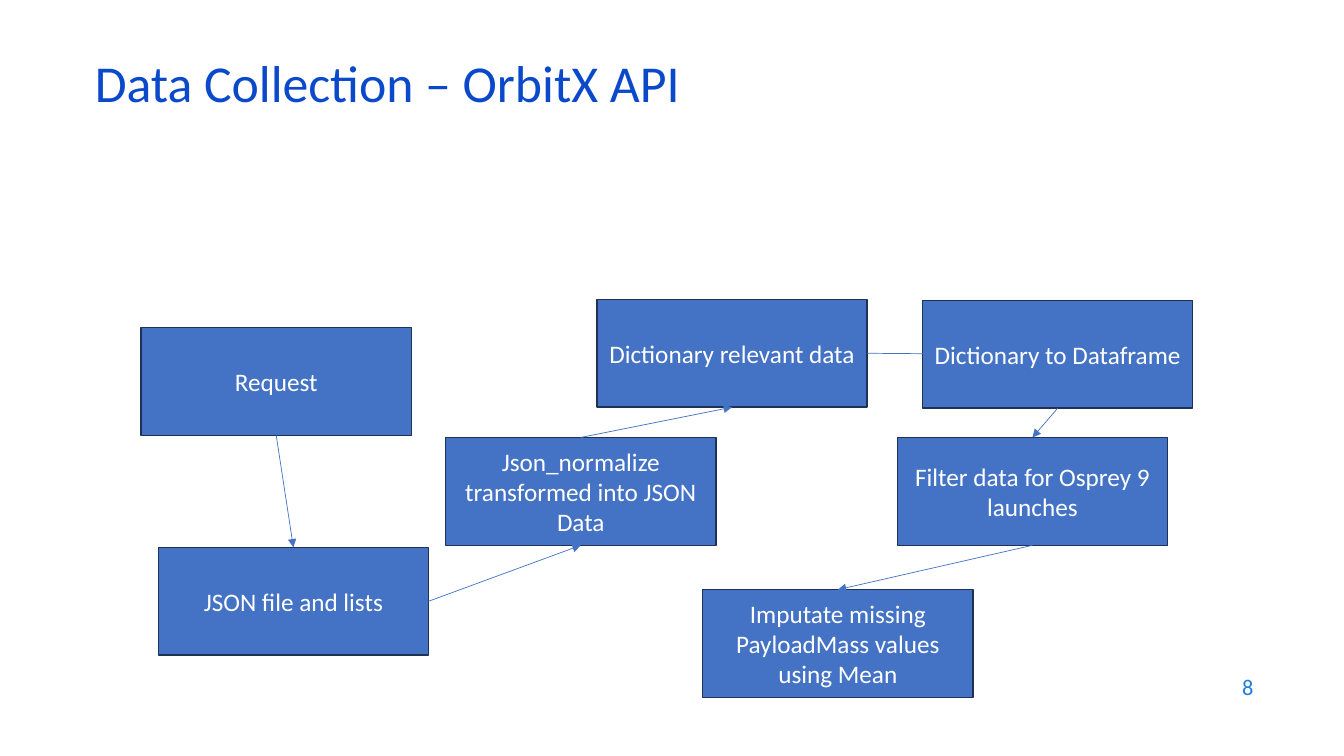
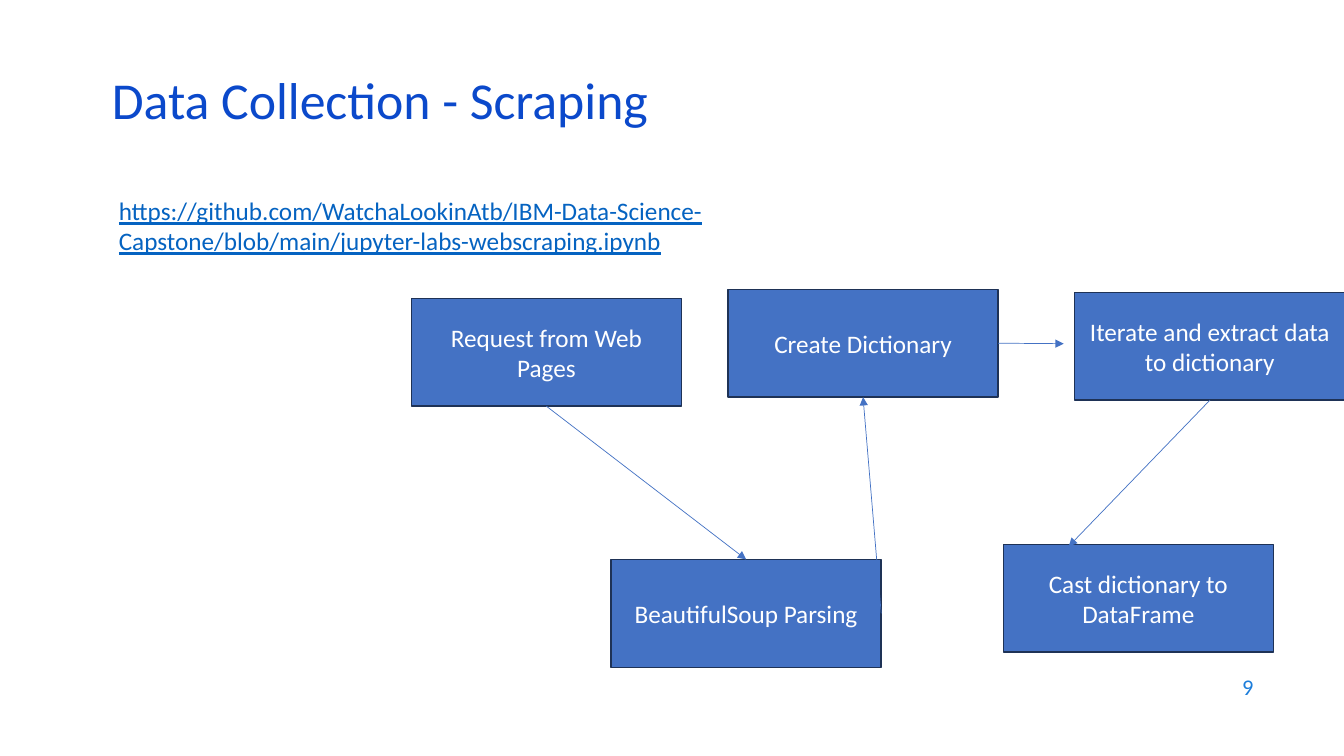
from dataclasses import dataclass
from typing import Any, Optional

from lxml import etree
from pptx import Presentation
from pptx.dml.color import RGBColor
from pptx.enum.shapes import MSO_CONNECTOR, MSO_SHAPE
from pptx.enum.text import MSO_ANCHOR, MSO_AUTO_SIZE, PP_ALIGN
from pptx.oxml.ns import qn
from pptx.util import Emu, Pt

# Enum members
RECT = MSO_SHAPE.RECTANGLE
STRAIGHT = MSO_CONNECTOR.STRAIGHT
MIDDLE, UPPER = MSO_ANCHOR.MIDDLE, MSO_ANCHOR.TOP
LEFT, CENTER, RIGHT = PP_ALIGN.LEFT, PP_ALIGN.CENTER, PP_ALIGN.RIGHT
FIXED = MSO_AUTO_SIZE.NONE

# Colours
BLUE = RGBColor(0x44, 0x72, 0xC4)
NAVY = RGBColor(0x1E, 0x32, 0x56)
ROYAL = RGBColor(0x0B, 0x49, 0xCB)
SKY = RGBColor(0x1C, 0x7D, 0xDB)
LINK = RGBColor(0x05, 0x63, 0xC1)
WHITE = RGBColor(0xFF, 0xFF, 0xFF)

# Sizes in px, 100 px to the inch
SCALE = 9144
WIDE, HIGH = 1333, 750
BOX_W, BOX_H = 268, 107
TITLE_W, TITLE_H = 1150, 60
NUMBER = (953, 659, 300, 44)

# Connection sites of a rectangle
TOP, BASE, SIDE = 0, 2, 3


@dataclass(frozen=True)
class Style:
    size: int
    color: RGBColor
    align: Any = LEFT
    anchor: Any = MIDDLE
    spacing: float = 1.0
    underline: bool = False


TITLE = Style(37, ROYAL, spacing=0.7)
STEP = Style(18, WHITE, CENTER)
PAGE = Style(16, SKY, RIGHT)
URL = Style(18, LINK, anchor=UPPER, underline=True)


@dataclass(frozen=True)
class Step:
    x: int
    y: int
    text: str


@dataclass(frozen=True)
class Arrow:
    """Runs from a step to another step, or to a free point."""
    start: int
    out: int
    end: Optional[int] = None
    into: int = TOP
    point: tuple[int, int] = (0, 0)


@dataclass(frozen=True)
class Note:
    x: int
    y: int
    w: int
    h: int
    text: str


@dataclass(frozen=True)
class Page:
    number: int
    title: str
    x: int
    y: int
    steps: list[Step]
    arrows: list[Arrow]
    note: Optional[Note] = None


PAGES = [
    Page(
        8, "Data Collection – OrbitX API", 84, 59,
        [
            Step(140, 325, "Request"),
            Step(157, 543, "JSON file and lists"),
            Step(442, 434, "Json_normalize transformed into JSON Data"),
            Step(592, 297, "Dictionary relevant data"),
            Step(915, 298, "Dictionary to Dataframe"),
            Step(890, 434, "Filter data for Osprey 9 launches"),
            Step(697, 585, "Imputate missing PayloadMass values using Mean"),
        ],
        [
            Arrow(0, BASE, 1),
            Arrow(1, SIDE, 2, BASE),
            Arrow(2, TOP, 3, BASE),
            Arrow(3, SIDE, point=(925, 351)),
            Arrow(4, BASE, 5),
            Arrow(5, BASE, 6),
        ],
    ),
    Page(
        9, "Data Collection - Scraping", 101, 76,
        [
            Step(408, 296, "Request from Web Pages"),
            Step(606, 555, "BeautifulSoup Parsing"),
            Step(722, 287, "Create Dictionary"),
            Step(1066, 290, "Iterate and extract data to dictionary"),
            Step(995, 540, "Cast dictionary to DataFrame"),
        ],
        [
            Arrow(0, BASE, 1),
            Arrow(1, SIDE, 2, BASE),
            Arrow(2, SIDE, point=(1055, 341)),
            Arrow(3, BASE, point=(1060, 542)),
        ],
        Note(108, 189, 667, 71,
             "https://github.com/WatchaLookinAtb/IBM-Data-Science-"
             "Capstone/blob/main/jupyter-labs-webscraping.ipynb"),
    ),
]


def px(*sizes: int) -> list[Emu]:
    return [Emu(size * SCALE) for size in sizes]


def assign(target: Any, values: dict[str, Any]) -> None:
    for name, value in values.items():
        setattr(target, name, value)


def write(shape: Any, text: str, style: Style) -> None:
    frame = shape.text_frame
    assign(frame, {"word_wrap": True, "auto_size": FIXED,
                   "vertical_anchor": style.anchor})
    para = frame.paragraphs[0]
    assign(para, {"alignment": style.align, "line_spacing": style.spacing})
    run = para.add_run()
    run.text = text
    assign(run.font, {"name": "Calibri", "size": Pt(style.size),
                      "underline": style.underline})
    run.font.color.rgb = style.color


def add_text(slide: Any, area: tuple[int, ...], text: str, style: Style) -> None:
    write(slide.shapes.add_textbox(*px(*area)), text, style)


def add_title(slide: Any, page: Page) -> None:
    title = slide.shapes.title
    left, top, width, height = px(page.x, page.y, TITLE_W, TITLE_H)
    assign(title, {"left": left, "top": top, "width": width, "height": height})
    write(title, page.title, TITLE)


def add_step(slide: Any, step: Step) -> Any:
    box = slide.shapes.add_shape(RECT, *px(step.x, step.y, BOX_W, BOX_H))
    box.shadow.inherit = False
    box.fill.solid()
    box.fill.fore_color.rgb = BLUE
    box.line.color.rgb = NAVY
    box.line.width = Pt(1)
    write(box, step.text, STEP)
    return box


def add_arrow(slide: Any, arrow: Arrow, boxes: list[Any]) -> None:
    line = slide.shapes.add_connector(STRAIGHT, 0, 0, *px(*arrow.point))
    line.begin_connect(boxes[arrow.start], arrow.out)
    if arrow.end is not None:
        line.end_connect(boxes[arrow.end], arrow.into)
    line.line.color.rgb = BLUE
    line.line.width = Pt(0.5)
    # Arrowhead, and no shadow
    props = line.line._get_or_add_ln()
    etree.SubElement(props, qn("a:tailEnd"), type="triangle")
    etree.SubElement(line._element.spPr, qn("a:effectLst"))


def add_page(deck: Any, page: Page) -> None:
    slide = deck.slides.add_slide(deck.slide_layouts[5])
    add_text(slide, NUMBER, str(page.number), PAGE)
    add_title(slide, page)
    # Flow chart
    boxes = [add_step(slide, step) for step in page.steps]
    for arrow in page.arrows:
        add_arrow(slide, arrow, boxes)
    # Web address
    if page.note:
        note = page.note
        add_text(slide, (note.x, note.y, note.w, note.h), note.text, URL)


def main() -> None:
    deck = Presentation()
    deck.slide_width, deck.slide_height = px(WIDE, HIGH)
    for page in PAGES:
        add_page(deck, page)
    deck.save("out.pptx")


if __name__ == "__main__":
    main()
